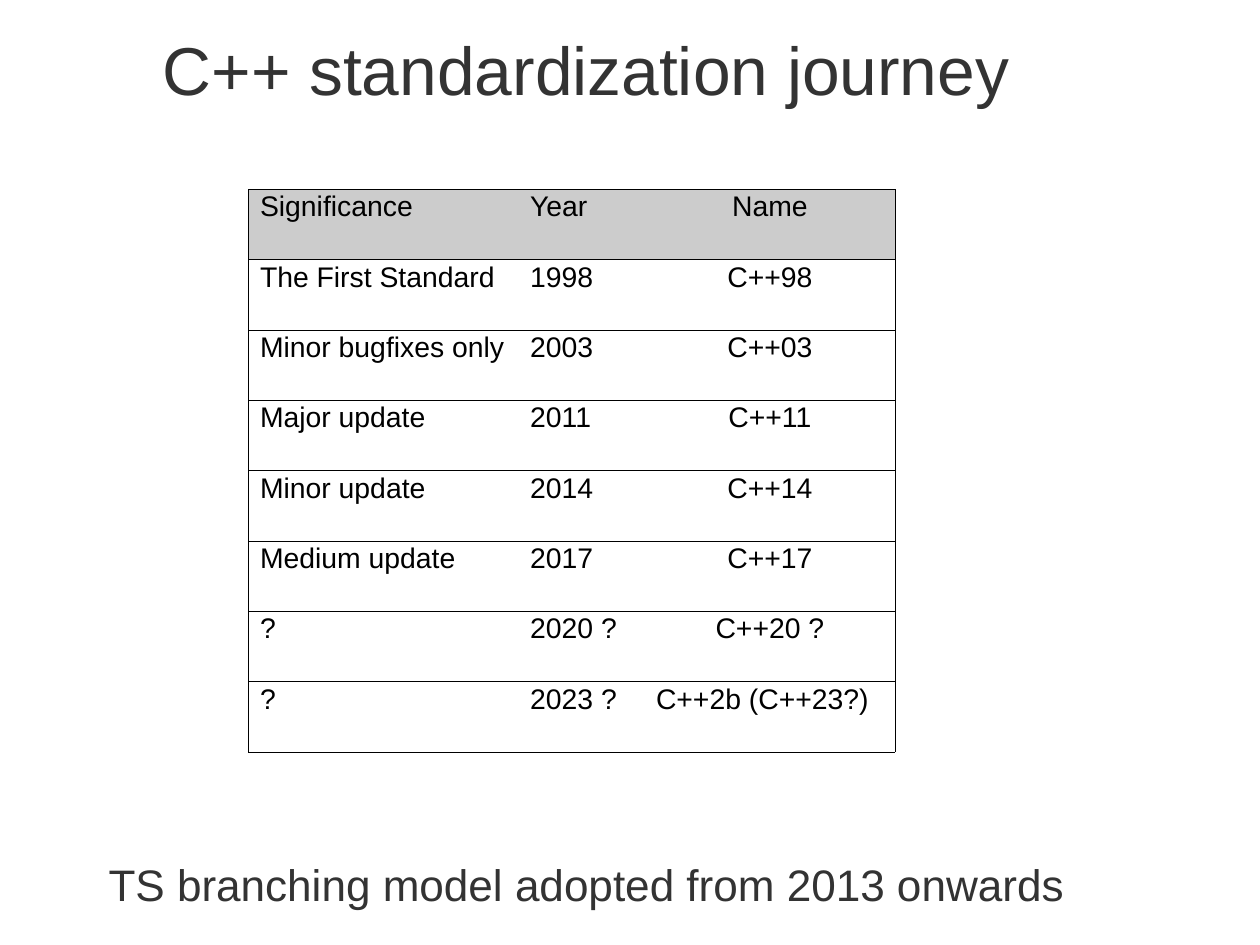
import lxml.etree
import pptx
import pptx.dml.color
import pptx.enum.text
import pptx.oxml.ns
import pptx.util

Cm, Pt = pptx.util.Cm, pptx.util.Pt
ALIGN = pptx.enum.text.PP_ALIGN

TITLE = "C++ standardization journey"
FOOTNOTE = "TS branching model adopted from 2013 onwards"
STANDARDS = [
    ("Significance", "Year", "Name"),
    ("The First Standard", "1998", "C++98"),
    ("Minor bugfixes only", "2003", "C++03"),
    ("Major update", "2011", "C++11"),
    ("Minor update", "2014", "C++14"),
    ("Medium update", "2017", "C++17"),
    ("?", "2020 ?", "C++20 ?"),
    ("?", "2023 ?", "C++2b (C++23?)"),
]
THEME = {
    "font": "Arial",
    "heading": "333333", "text": "000000", "border": "000000",
    "header_fill": "CCCCCC",
    "title_size": 43, "footnote_size": 28, "table_size": 18,
    "heading_spacing": 0.95, "table_spacing": 0.86, "border_width": 0.34,
}
PAGE_SIZE = (800, 600.12)  # points
HEADING_LEFT, HEADING_WIDTH, HEADING_HEIGHT = 1.86, 22.53, 2.31
TITLE_TOP, FOOTNOTE_TOP = 0.76, 19.29
TABLE_LEFT, TABLE_TOP, TABLE_HEIGHT = 5.57, 4.24, 12.61
COLUMN_WIDTHS = (6.05, 2.82, 5.61)


def rgb(name):
    return pptx.dml.color.RGBColor.from_string(THEME[name])


def write(frame, text, size, color, spacing, align):
    para = frame.paragraphs[0]
    para.alignment = align
    para.line_spacing = THEME[spacing]
    span = para.add_run()
    span.text = text
    span.font.name = THEME["font"]
    span.font.size = Pt(THEME[size])
    span.font.color.rgb = rgb(color)


def add_heading(page, text, top, size):
    box = page.shapes.add_textbox(
        Cm(HEADING_LEFT), Cm(top), Cm(HEADING_WIDTH), Cm(HEADING_HEIGHT))
    frame = box.text_frame
    frame.word_wrap = True
    frame.margin_left = frame.margin_right = 0
    frame.margin_top = frame.margin_bottom = 0
    write(frame, text, size, "heading", "heading_spacing", ALIGN.CENTER)


def set_borders(cell, visible):
    """Draw the named sides (L, R, T, B) and clear the others."""
    qn = pptx.oxml.ns.qn
    properties = cell._tc.get_or_add_tcPr()
    for side in "LRTB":
        line = lxml.etree.SubElement(properties, qn(f"a:ln{side}"))
        if side in visible:
            line.set("w", str(int(Pt(THEME["border_width"]))))
            fill = lxml.etree.SubElement(line, qn("a:solidFill"))
            lxml.etree.SubElement(fill, qn("a:srgbClr"), val=THEME["border"])
        else:
            lxml.etree.SubElement(line, qn("a:noFill"))


def add_standards_table(page):
    rows, columns = len(STANDARDS), len(COLUMN_WIDTHS)
    table = page.shapes.add_table(
        rows, columns, Cm(TABLE_LEFT), Cm(TABLE_TOP),
        Cm(sum(COLUMN_WIDTHS)), Cm(TABLE_HEIGHT)).table
    table.first_row = table.horz_banding = False
    for column, width in zip(table.columns, COLUMN_WIDTHS):
        column.width = Cm(width)
    for r, values in enumerate(STANDARDS):
        table.rows[r].height = Cm(TABLE_HEIGHT / rows)
        for c, value in enumerate(values):
            cell = table.cell(r, c)
            set_borders(cell, ("LTB", "TB", "RTB")[c])
            if r == 0:
                cell.fill.solid()
                cell.fill.fore_color.rgb = rgb("header_fill")
            else:
                cell.fill.background()
            centred = c == columns - 1 and r < rows - 1
            write(cell.text_frame, value, "table_size", "text", "table_spacing",
                  ALIGN.CENTER if centred else ALIGN.LEFT)


def main():
    deck = pptx.Presentation()
    deck.slide_width, deck.slide_height = map(Pt, PAGE_SIZE)
    page = deck.slides.add_slide(deck.slide_layouts[6])
    add_heading(page, TITLE, TITLE_TOP, "title_size")
    add_heading(page, FOOTNOTE, FOOTNOTE_TOP, "footnote_size")
    add_standards_table(page)
    deck.save("out.pptx")


if __name__ == "__main__":
    main()
